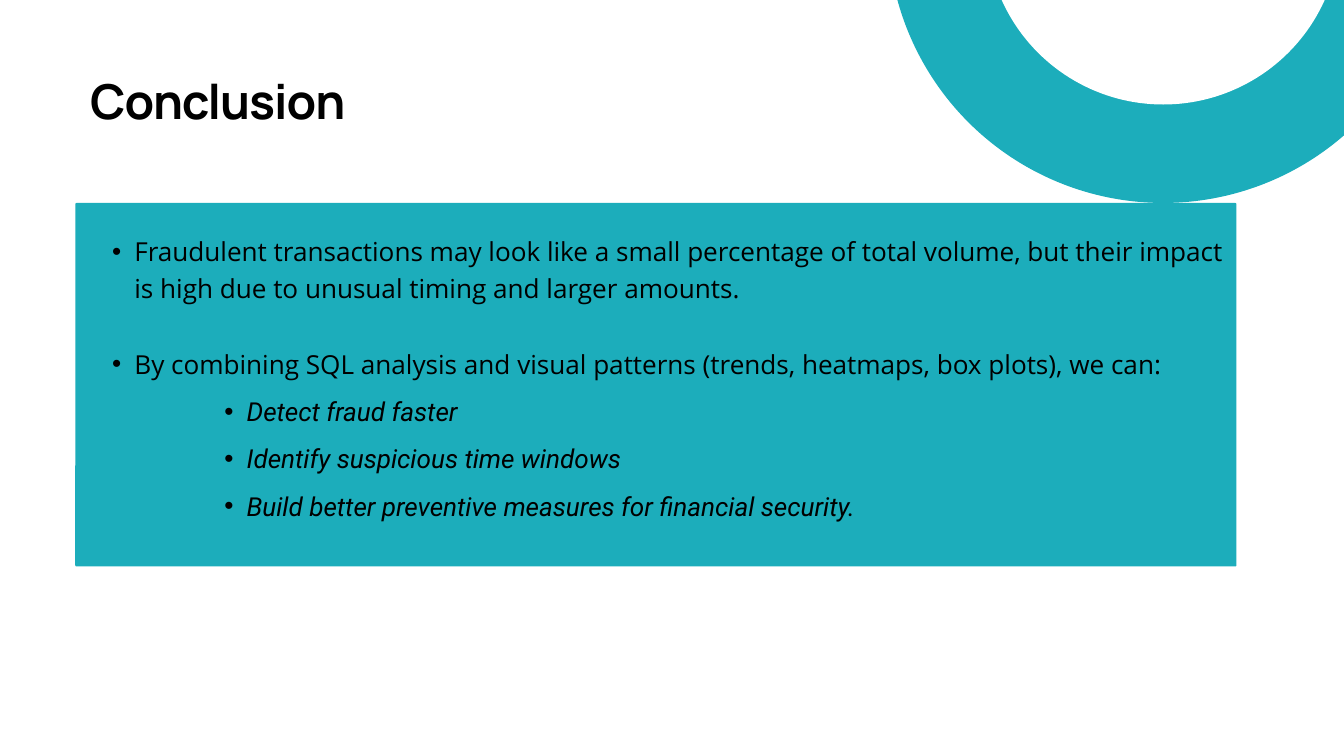
import pptx
import pptx.util
import pptx.dml.color
import pptx.enum.shapes
import pptx.enum.text
import pptx.oxml.ns
import lxml.etree

Inches, Pt = pptx.util.Inches, pptx.util.Pt
RGBColor = pptx.dml.color.RGBColor
MSO_SHAPE = pptx.enum.shapes.MSO_SHAPE
PP_ALIGN = pptx.enum.text.PP_ALIGN
qn = pptx.oxml.ns.qn

TEAL = RGBColor(0x1C, 0xAD, 0xBB)
WHITE = RGBColor(0xFF, 0xFF, 0xFF)
BLACK = RGBColor(0, 0, 0)

TITLE = "Conclusion"
POINTS = [
    (0, 0, "Fraudulent transactions may look like a small percentage of total volume, "
           "but their impact is high due to unusual timing and larger amounts."),
    (0, 42, "By combining SQL analysis and visual patterns (trends, heatmaps, box plots), we can:"),
    (1, 11.5, "Detect fraud faster"),
    (1, 11.5, "Identify suspicious time windows"),
    (1, 11.5, "Build better preventive measures for financial security."),
]
LEVELS = [
    {"font": "Open Sans", "italic": False, "indent": 0.66},
    {"font": "Roboto", "italic": True, "indent": 2.33},
]
HANGING = 0.33
RING_CENTER = (17.31, -1.08)
RING = [(8.2, TEAL), (5.27, WHITE)]
PANEL = (1.12, 3.02, 17.28, 5.41)
CORNER = 0.02


def add_filled(s, kind, box, color):
    sp = s.shapes.add_shape(kind, *map(Inches, box))
    sp.shadow.inherit = False
    sp.fill.solid()
    sp.fill.fore_color.rgb = color
    sp.line.fill.background()
    return sp


def place_text(sp, box):
    sp.left, sp.top, sp.width, sp.height = map(Inches, box)
    tf = sp.text_frame
    tf.margin_left = tf.margin_right = tf.margin_top = tf.margin_bottom = 0
    tf.vertical_anchor = pptx.enum.text.MSO_ANCHOR.TOP
    tf.auto_size = pptx.enum.text.MSO_AUTO_SIZE.NONE
    tf.word_wrap = True
    return tf


def format_paragraph(p, font, size, line, before=0, bold=False, italic=False):
    p.alignment = PP_ALIGN.LEFT
    p.line_spacing = Pt(line)
    p.space_before = Pt(before)
    p.space_after = Pt(0)
    for r in p.runs:
        r.font.name = font
        r.font.size = Pt(size)
        r.font.bold = bold
        r.font.italic = italic
        r.font.color.rgb = BLACK


def add_bullet(p, indent):
    pPr = p._p.get_or_add_pPr()
    pPr.set("marL", str(Inches(indent)))
    pPr.set("indent", str(-Inches(HANGING)))
    lxml.etree.SubElement(pPr, qn("a:buFont")).set("typeface", "Arial")
    lxml.etree.SubElement(pPr, qn("a:buChar")).set("char", "•")


def main():
    prs = pptx.Presentation()
    prs.slide_width, prs.slide_height = Inches(20), Inches(11.25)
    s = prs.slides.add_slide(prs.slide_layouts[1])
    title, body = s.placeholders[0], s.placeholders[1]

    cx, cy = RING_CENTER
    for d, color in RING:
        add_filled(s, MSO_SHAPE.OVAL, (cx - d / 2, cy - d / 2, d, d), color)
    panel = add_filled(s, MSO_SHAPE.ROUNDED_RECTANGLE, PANEL, TEAL)
    panel.adjustments[0] = CORNER / PANEL[3]
    panel.element.addnext(body.element)

    tf = place_text(title, (1.34, 1.11, 11.77, 0.87))
    tf.text = TITLE
    p = tf.paragraphs[0]
    format_paragraph(p, "Manrope", 51.5, 58.7, bold=True)
    p.runs[0].font._element.set("spc", "-110")

    tf = place_text(body, (1.34, 3.43, 17.06, 4.3))
    tf.text = "\n".join(text for _, _, text in POINTS)
    for p, (level, before, _) in zip(tf.paragraphs, POINTS):
        style = LEVELS[level]
        p.level = level
        format_paragraph(p, style["font"], 28, 39.2, before, italic=style["italic"])
        add_bullet(p, style["indent"])

    prs.save("out.pptx")


if __name__ == "__main__":
    main()
